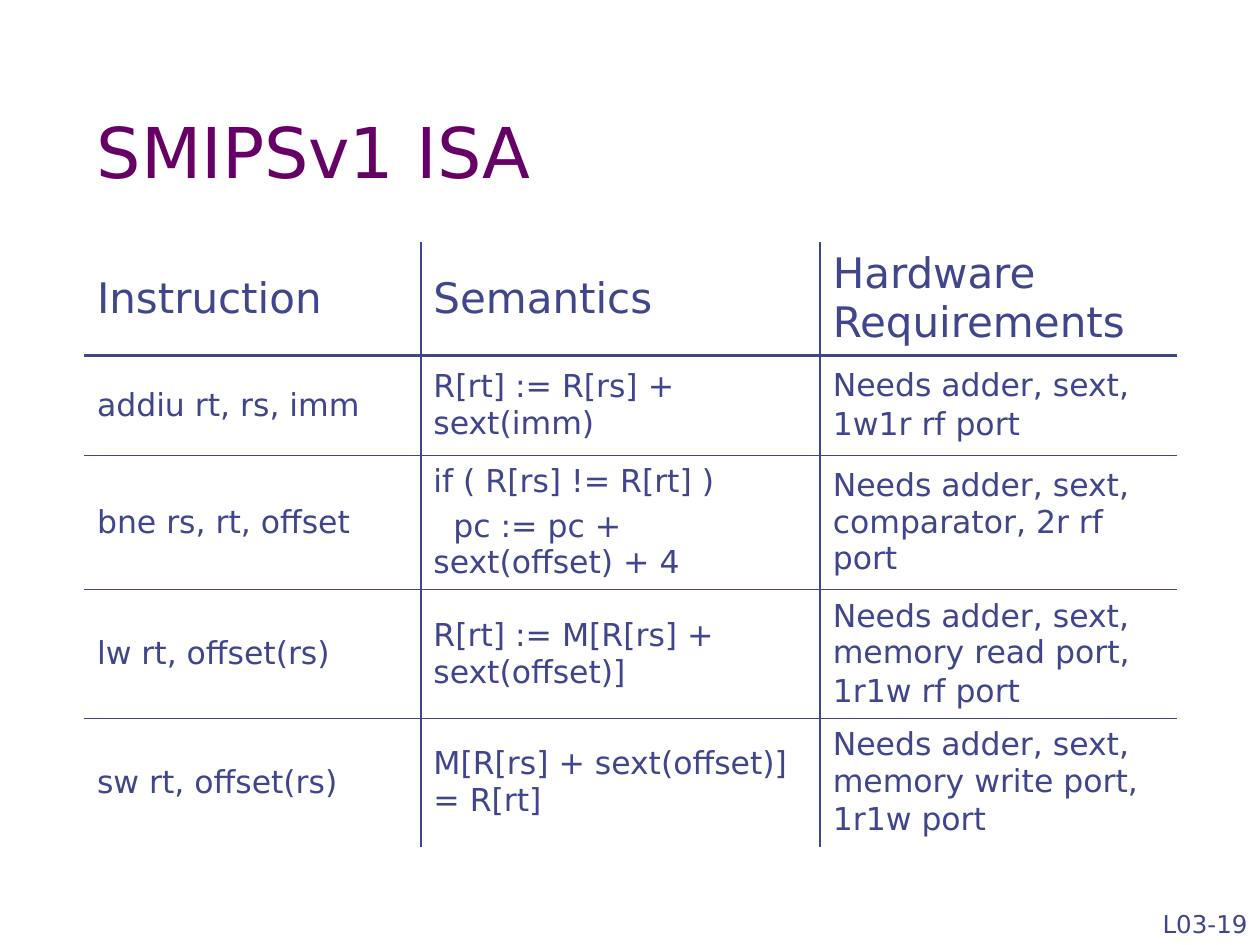
from lxml.etree import SubElement
from pptx import Presentation
from pptx.dml.color import RGBColor
from pptx.enum.text import MSO_ANCHOR, PP_ALIGN
from pptx.oxml.ns import qn
from pptx.util import Inches, Pt

THEME = {
    "font": "DejaVu Sans",
    "ink": "40458C",
    "title": "660066",
    "title_size": 40,
    "header_size": 24,
    "body_size": 18,
    "footer_size": 14,
    "heavy": 1.47,
    "light": 0.45,
}

TITLE = "SMIPSv1 ISA"
PAGE_NUMBER = "L03-19"
HEADER = ["Instruction", "Semantics", "Hardware Requirements"]
INSTRUCTIONS = [
    ["addiu rt, rs, imm", "R[rt] := R[rs] + sext(imm)",
     "Needs adder, sext,\n1w1r rf port"],
    ["bne rs, rt, offset", "if ( R[rs] != R[rt] )\n  pc := pc + sext(offset) + 4",
     "Needs adder, sext, comparator, 2r rf port"],
    ["lw rt, offset(rs)", "R[rt] := M[R[rs] + sext(offset)]",
     "Needs adder, sext, memory read port,\n1r1w rf port"],
    ["sw rt, offset(rs)", "M[R[rs] + sext(offset)] = R[rt]",
     "Needs adder, sext, memory write port,\n1r1w port"],
]
COLUMN_WIDTHS = [2.67, 3.17, 2.83]
ROW_HEIGHTS = [0.9, 0.79, 1.07, 1.02, 1.02]
LINE_GAPS = [4.5, 4.5, 1.1]


def write(frame, text, size, color, align=PP_ALIGN.LEFT, gap=0):
    frame.text = text
    frame.word_wrap = True
    for index, para in enumerate(frame.paragraphs):
        para.alignment = align
        para.space_before = Pt(gap if index else 0)
        for span in para.runs:
            span.font.name = THEME["font"]
            span.font.size = Pt(size)
            span.font.bold = False
            span.font.color.rgb = RGBColor.from_string(color)


def add_text(page, place, text, size, color, align=PP_ALIGN.LEFT):
    box = page.shapes.add_textbox(*map(Inches, place))
    box.text_frame.vertical_anchor = MSO_ANCHOR.BOTTOM
    write(box.text_frame, text, size, color, align)


def set_borders(cell, widths):
    properties = cell._tc.get_or_add_tcPr()
    for side, width in zip("LRTB", widths):
        line = SubElement(properties, qn(f"a:ln{side}"), w=str(Pt(width)))
        if width:
            fill = SubElement(line, qn("a:solidFill"))
            SubElement(fill, qn("a:srgbClr"), val=THEME["ink"])
        else:
            SubElement(line, qn("a:noFill"))


def add_instruction_table(page):
    rows = [HEADER] + INSTRUCTIONS
    last_row, last_column = len(rows) - 1, len(HEADER) - 1
    table = page.shapes.add_table(
        len(rows), len(HEADER), Inches(0.67), Inches(1.92),
        Inches(sum(COLUMN_WIDTHS)), Inches(sum(ROW_HEIGHTS))).table
    table.first_row = False
    table.horz_banding = False
    for column, width in zip(table.columns, COLUMN_WIDTHS):
        column.width = Inches(width)
    for row, height in zip(table.rows, ROW_HEIGHTS):
        row.height = Inches(height)

    heavy, light = THEME["heavy"], THEME["light"]
    rules = [0, heavy] + [light] * (last_row - 1) + [0]
    for r, texts in enumerate(rows):
        size = THEME["body_size"] if r else THEME["header_size"]
        for c, text in enumerate(texts):
            cell = table.cell(r, c)
            cell.vertical_anchor = MSO_ANCHOR.MIDDLE
            write(cell.text_frame, text, size, THEME["ink"], gap=LINE_GAPS[c])
            left = heavy if c else 0
            right = heavy if c < last_column else 0
            set_borders(cell, [left, right, rules[r], rules[r + 1]])
            cell.fill.background()


def main():
    deck = Presentation()
    deck.slide_width, deck.slide_height = Inches(10), Inches(7.5)
    page = deck.slides.add_slide(deck.slide_layouts[6])
    add_text(page, (7.92, 7, 2.08, 0.5), PAGE_NUMBER,
             THEME["footer_size"], THEME["ink"], PP_ALIGN.RIGHT)
    add_text(page, (0.67, 0.33, 8.5, 1.25), TITLE,
             THEME["title_size"], THEME["title"])
    add_instruction_table(page)
    deck.save("out.pptx")


if __name__ == "__main__":
    main()
